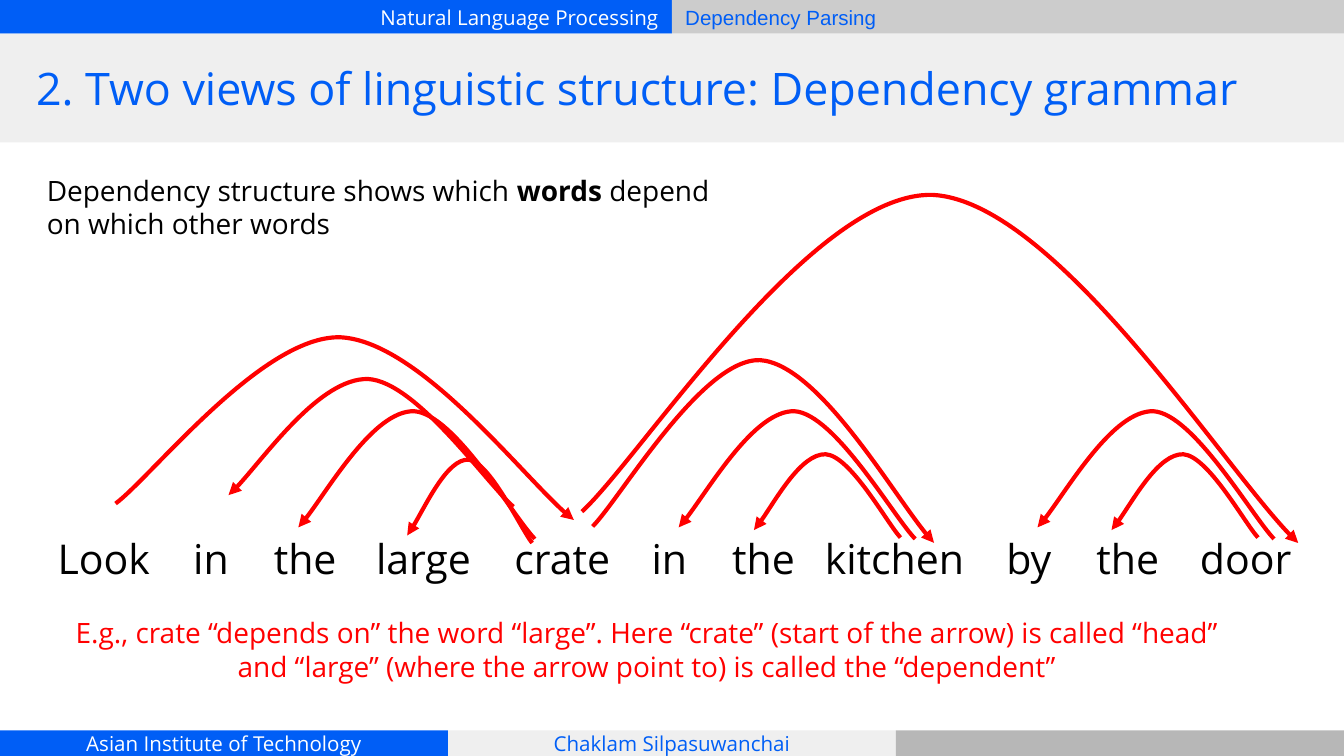
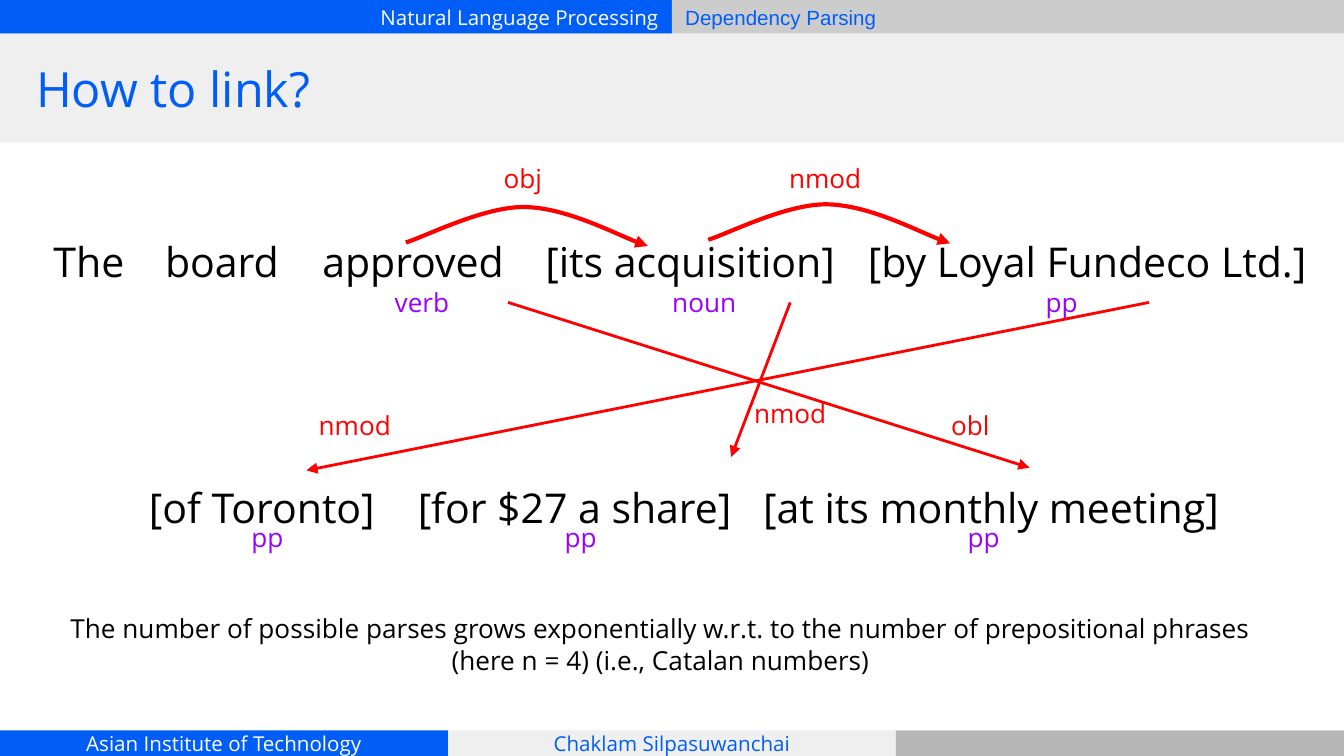
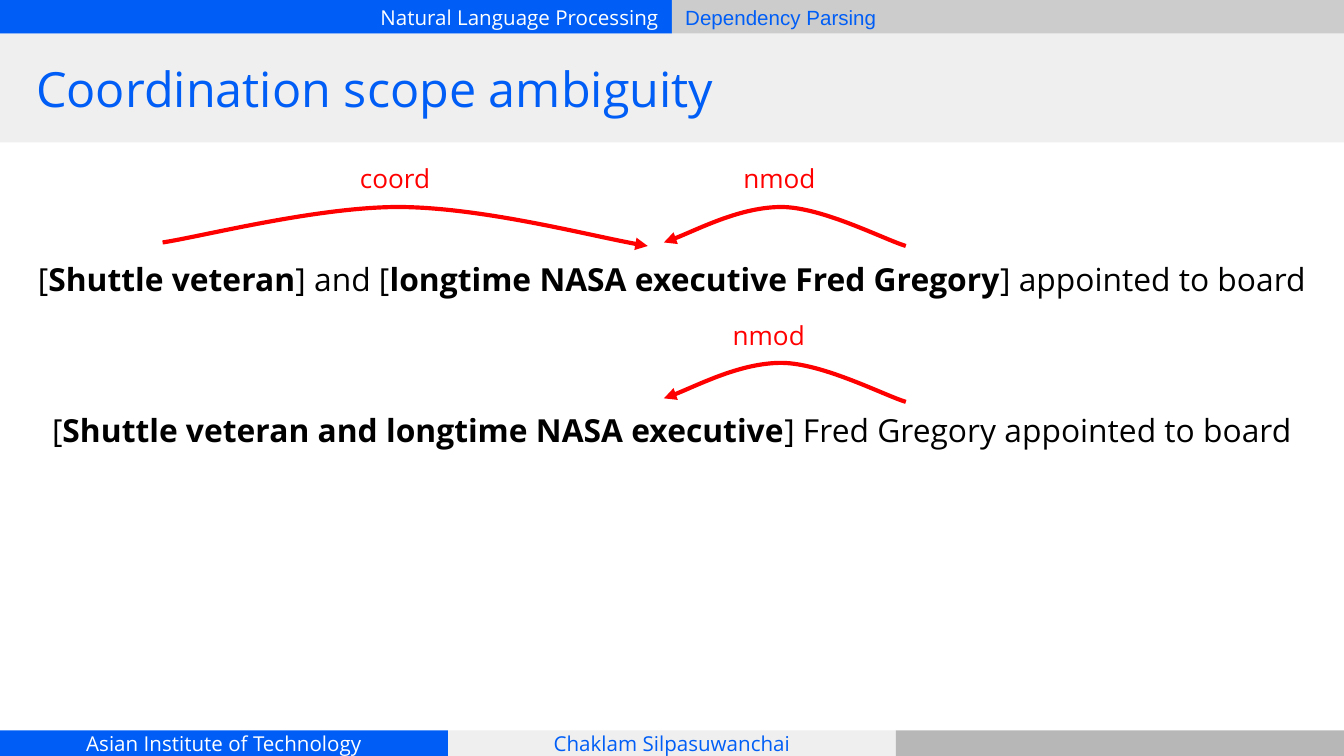
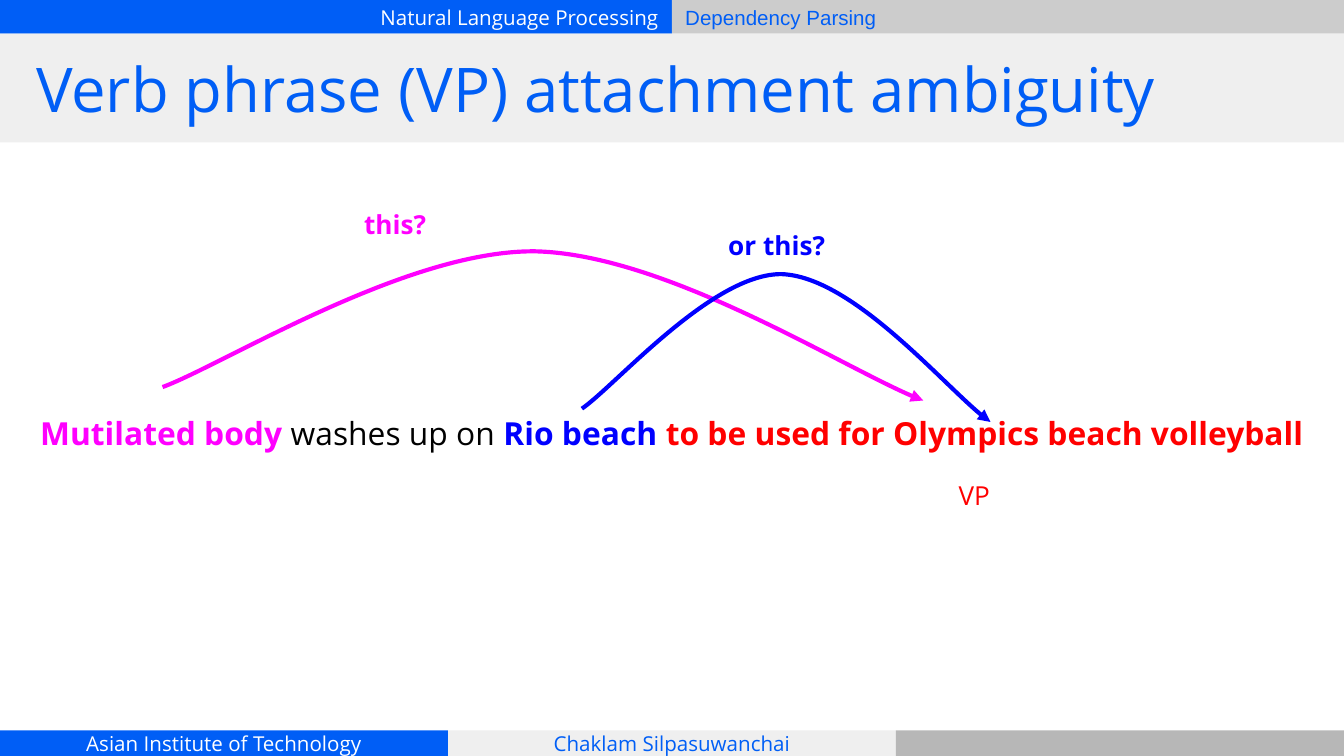
from lxml import etree
from pptx import Presentation
from pptx import util as u
from pptx.dml.color import RGBColor
from pptx.enum import shapes, text
from pptx.oxml.ns import qn

COLORS = {
    "blue": "005EF6", "white": "FFFFFF", "black": "000000", "red": "FF0000",
    "purple": "9900FF", "magenta": "FF00FF", "navy": "0000FF",
    "pale": "EFEFEF", "silver": "CCCCCC", "grey": "B7B7B7",
}
FONT = "Open Sans"
LEFT, CENTER, RIGHT = text.PP_ALIGN.LEFT, text.PP_ALIGN.CENTER, text.PP_ALIGN.RIGHT
W, H = 10, 5.625
THIRD = W / 3
FOOT = 0.19

# left, top, width, height, fill, text, text colour, alignment, font
BANDS = [
    (0, 0, 5, 0.25, "blue", "Natural Language Processing", "white", RIGHT, FONT),
    (5, 0, 5, 0.25, "silver", "Dependency Parsing", "blue", LEFT, "Arial"),
    (0, 0.25, W, 0.81, "pale", "", "blue", LEFT, FONT),
    (0, H - FOOT, THIRD, FOOT, "blue", "Asian Institute of Technology", "white", CENTER, FONT),
    (THIRD, H - FOOT, THIRD, FOOT, "pale", "Chaklam Silpasuwanchai", "blue", CENTER, FONT),
    (2 * THIRD, H - FOOT, THIRD, FOOT, "grey", "", "blue", CENTER, FONT),
]

# The arc every dependency follows, in a unit box from its right end to its left
ARC_ENDS = [(1, 1), (0.49, 0), (0, 0.91)]
ARC_CONTROLS = [[(0.91, 0.83), (0.66, 0.02)], [(0.32, -0.01), (0.08, 0.76)]]


def rgb(name):
    return RGBColor.from_string(COLORS[name])


class Deck:
    def __init__(self):
        self.prs = Presentation()
        self.prs.slide_width, self.prs.slide_height = u.Inches(W), u.Inches(H)
        self.s = None

    def slide(self, title, size=26):
        self.s = self.prs.slides.add_slide(self.prs.slide_layouts[6])
        for band in BANDS:
            self.band(*band)
        self.text(title, 0.17, 0.25, 9.67, 0.81, size, "blue", LEFT,
                  anchor=text.MSO_ANCHOR.MIDDLE)

    def band(self, left, top, width, height, fill, words, color, align, font):
        sp = self.s.shapes.add_shape(shapes.MSO_SHAPE.RECTANGLE, u.Inches(left),
                                     u.Inches(top), u.Inches(width), u.Inches(height))
        sp.shadow.inherit = False
        sp.fill.solid()
        sp.fill.fore_color.rgb = rgb(fill)
        sp.line.fill.background()
        if words:
            self.fill_text(sp.text_frame, words, 11, color, align, font,
                           text.MSO_ANCHOR.MIDDLE)

    def fill_text(self, tf, words, size, color, align, font=FONT,
                  anchor=text.MSO_ANCHOR.TOP, tabs=()):
        """Fill a frame with a string or with (text, bold, colour) runs."""
        tf.word_wrap = True
        tf.vertical_anchor = anchor
        tf.margin_left = tf.margin_right = u.Inches(0.1)
        tf.margin_top = tf.margin_bottom = u.Inches(0.1)
        p = tf.paragraphs[0]
        p.alignment = align
        if tabs:
            tab_list = etree.SubElement(p._p.get_or_add_pPr(), qn("a:tabLst"))
            for pos in tabs:
                etree.SubElement(tab_list, qn("a:tab"), pos=str(u.Inches(pos)), algn="l")
        p.font.name, p.font.size = font, u.Pt(size)
        p.font.color.rgb = rgb(color)
        runs = [(words, False, color)] if isinstance(words, str) else words
        for part, bold, run_color in runs:
            r = p.add_run()
            r.text = part
            if bold:
                r.font.bold = True
            if run_color != color:
                r.font.color.rgb = rgb(run_color)

    def text(self, words, left, top, width, height, size, color="black",
             align=CENTER, **style):
        tb = self.s.shapes.add_textbox(u.Inches(left), u.Inches(top),
                                       u.Inches(width), u.Inches(height))
        self.fill_text(tb.text_frame, words, size, color, align, **style)

    def label(self, word, left, top, color="red", bold=False):
        self.text([(word, bold, color)], left, top, 1.3, 0.44, 14, color)

    def spaced(self, words, left, top, tabs):
        """Set words on one line, each after the first at its own tab stop."""
        self.text("\t".join(words), left, top, W - left - 0.1, 0.57, 22,
                  align=LEFT, tabs=tabs)

    def stroke(self, line, color, width, arrow_end):
        line.color.rgb = rgb(color)
        line.width = u.Pt(width)
        etree.SubElement(line._get_or_add_ln(), qn("a:" + arrow_end), type="triangle")

    def arc(self, left, top, width, height, color="red", to_right=False):
        def place(point):
            return (u.Inches(left + width * point[0]), u.Inches(top + height * point[1]))

        start, *ends = map(place, ARC_ENDS)
        fb = self.s.shapes.build_freeform(*start)
        fb.add_line_segments(ends, close=False)
        sp = fb.convert_to_shape()
        for segment, controls in zip(list(sp._element.iter(qn("a:lnTo"))), ARC_CONTROLS):
            curve = etree.Element(qn("a:cubicBezTo"))
            for x, y in map(place, controls):
                etree.SubElement(curve, qn("a:pt"), x=str(x - sp.left), y=str(y - sp.top))
            curve.append(segment[0])
            segment.getparent().replace(segment, curve)
        sp.shadow.inherit = False
        sp.fill.background()
        self.stroke(sp.line, color, 2.25, "headEnd" if to_right else "tailEnd")

    def arrow(self, x1, y1, x2, y2):
        c = self.s.shapes.add_connector(shapes.MSO_CONNECTOR.STRAIGHT, u.Inches(x1),
                                        u.Inches(y1), u.Inches(x2), u.Inches(y2))
        self.stroke(c.line, "red", 1.5, "tailEnd")
        etree.SubElement(c._element.spPr, qn("a:effectLst"))


def dependency_grammar(d):
    d.slide("2. Two views of linguistic structure: Dependency grammar", 24)
    d.text([("Dependency structure shows which ", False, "black"),
            ("words", True, "black"),
            (" depend on which other words", False, "black")],
           0.25, 1.19, 5.33, 1.1, 15, align=LEFT)
    d.spaced("Look in the large crate in the kitchen by the door".split(), 0.33, 3.87,
             [1.01, 1.61, 2.37, 3.4, 4.42, 5.02, 5.71, 7.06, 7.73, 8.5])
    d.text("E.g., crate “depends on” the word “large”. Here “crate” (start of the arrow) "
           "is called “head” and “large” (where the arrow point to) is called the "
           "“dependent”", 0.41, 4.48, 8.81, 0.71, 15, "red")
    for left, top, width, height in [
            (3.03, 3.42, 0.93, 0.62), (2.22, 3.06, 1.76, 0.95), (1.7, 2.82, 2.12, 0.95),
            (5.61, 3.38, 1.09, 0.62), (5.05, 3.06, 1.76, 0.95),
            (8.27, 3.38, 1.09, 0.62), (7.72, 3.06, 1.76, 0.95)]:
        d.arc(left, top, width, height)
    for left, top, width, height in [
            (0.86, 2.51, 3.41, 1.36), (4.41, 2.68, 2.54, 1.36), (4.33, 1.45, 5.33, 2.59)]:
        d.arc(left, top, width, height, to_right=True)


def how_to_link(d):
    d.slide("How to link?")
    d.spaced(["The", "board", "approved", "[its acquisition]", "[by Loyal Fundeco Ltd.]"],
             0.3, 1.66, [0.83, 2, 3.66, 6.06])
    d.spaced(["[of Toronto]", "[for $27 a share]", "[at its monthly meeting]"],
             1.01, 3.49, [2, 4.57])
    d.text("The number of possible parses grows exponentially w.r.t. to the number of "
           "prepositional phrases (here n = 4) (i.e., Catalan numbers)",
           0.21, 4.46, 9.41, 0.67, 14)
    for tag, left, top in [("verb", 2.49, 2.03), ("noun", 4.59, 2.03), ("pp", 7.25, 2.03),
                           ("pp", 1.34, 3.78), ("pp", 3.67, 3.78), ("pp", 6.67, 3.78)]:
        d.label(tag, left, top, "purple")
    for relation, left, top in [("obj", 3.24, 1.11), ("nmod", 5.49, 1.11),
                                ("nmod", 1.99, 2.95), ("nmod", 5.23, 2.86),
                                ("obl", 6.57, 2.95)]:
        d.label(relation, left, top)
    d.arc(3.02, 1.54, 1.8, 0.29, to_right=True)
    d.arc(5.27, 1.52, 1.8, 0.29, to_right=True)
    for x1, x2, y2 in [(8.55, 2.28, 3.5), (5.88, 5.44, 3.4), (3.78, 7.66, 3.48)]:
        d.arrow(x1, 2.25, x2, y2)


def coordination_scope(d):
    d.slide("Coordination scope ambiguity")
    readings = [
        (1.83, ["[", "Shuttle veteran", "] and [",
                "longtime NASA executive Fred Gregory", "] appointed to board"]),
        (2.96, ["[", "Shuttle veteran and longtime NASA executive",
                "] Fred Gregory appointed to board"]),
    ]
    for top, parts in readings:
        # every second part is a bracketed, bold constituent
        runs = [(part, i % 2 == 1, "black") for i, part in enumerate(parts)]
        d.text(runs, 0, top, W, 0.49, 17)
    d.label("coord", 2.29, 1.11)
    d.arc(1.21, 1.54, 3.61, 0.29, to_right=True)
    d.label("nmod", 5.15, 1.11)
    d.label("nmod", 5.07, 2.28)
    for top in (1.54, 2.7):
        d.arc(4.94, top, 1.8, 0.29)


def verb_phrase_attachment(d):
    d.slide("Verb phrase (VP) attachment ambiguity", 33)
    d.text([("Mutilated body", True, "magenta"), (" washes up on ", False, "black"),
            ("Rio beach ", True, "navy"),
            ("to be used for Olympics beach volleyball", True, "red")],
           0, 2.98, W, 0.49, 17)
    d.label("VP", 6.6, 3.47)
    d.arc(1.21, 1.87, 5.66, 1.11, "magenta", to_right=True)
    d.arc(4.33, 2.04, 3.04, 1.1, "navy", to_right=True)
    d.label("this?", 2.29, 1.45, "magenta", bold=True)
    d.label("or this?", 5.13, 1.61, "navy", bold=True)


def main():
    d = Deck()
    for build in (dependency_grammar, how_to_link, coordination_scope,
                  verb_phrase_attachment):
        build(d)
    d.prs.save("out.pptx")


if __name__ == "__main__":
    main()
